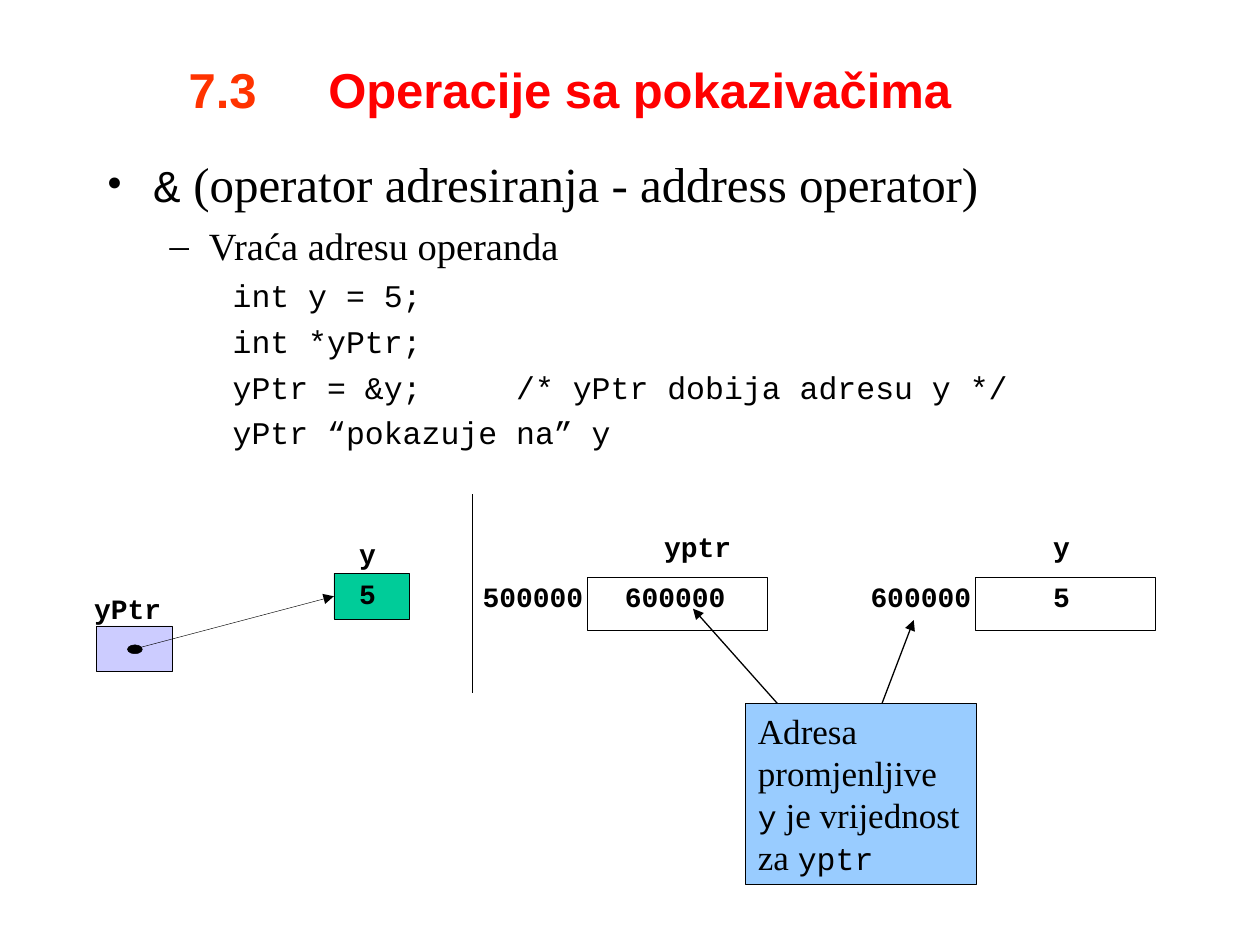
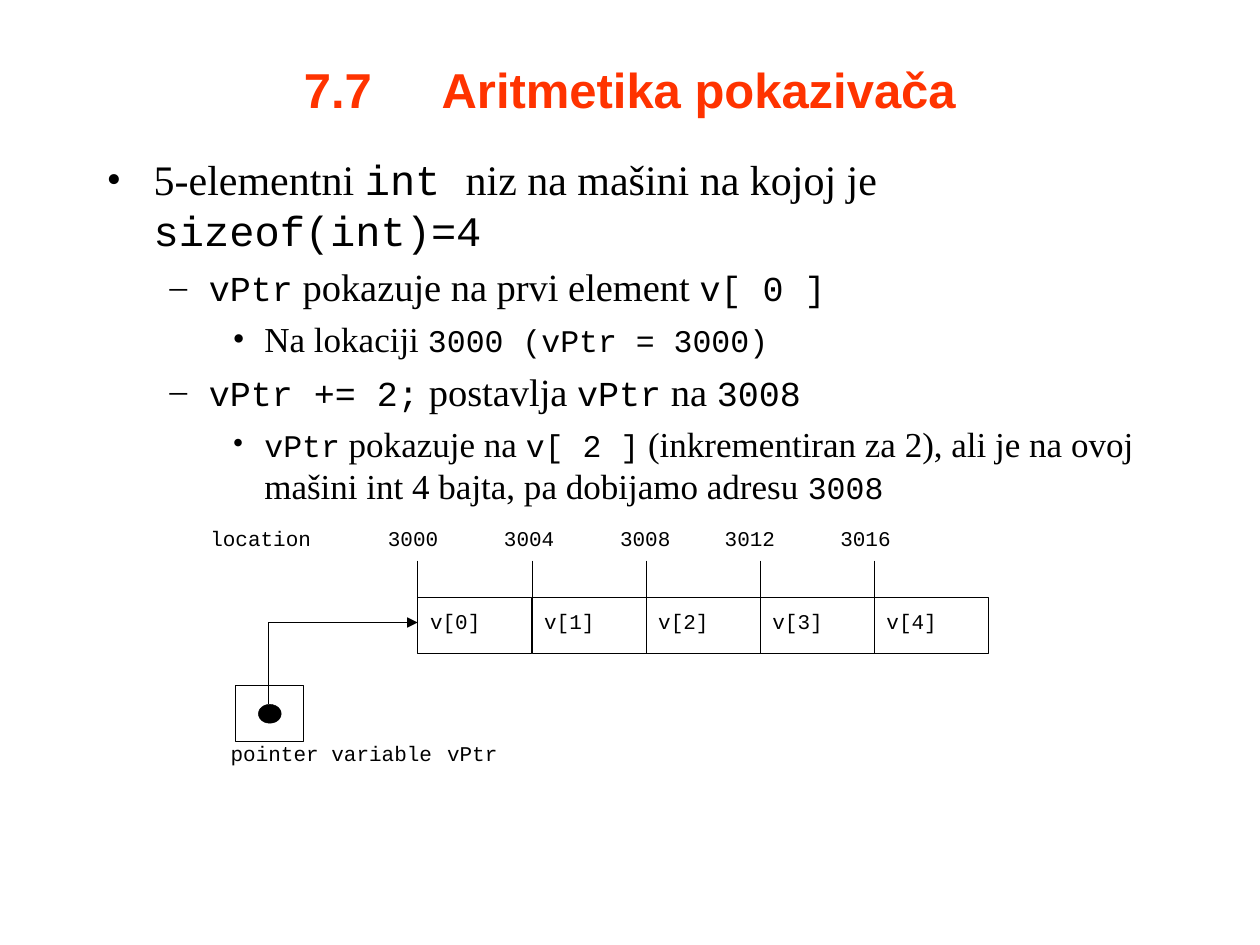
from dataclasses import dataclass

from lxml import etree
from pptx import Presentation
from pptx import util as u
from pptx.dml.color import RGBColor
from pptx.enum import shapes, text
from pptx.oxml import ns

BLACK = RGBColor(0x00, 0x00, 0x00)
ORANGE_RED = RGBColor(0xFF, 0x33, 0x00)
RED = RGBColor(0xFF, 0x00, 0x00)
LILAC = RGBColor(0xCC, 0xCC, 0xFF)
GREEN = RGBColor(0x00, 0xCC, 0x99)
SKY = RGBColor(0x99, 0xCC, 0xFF)

SANS, SERIF, MONO = "Arial", "Times New Roman", "Courier New"
THIN, NORMAL = 0.25, 0.75
NO_INSETS = (0, 0, 0, 0)
INSETS = (0.25, 0.13, 0.25, 0.13)
# Left margin and hanging indent of each outline level, in cm
LEVELS = [(0.95, -0.95), (2.06, -0.79), (3.18, -0.64)]


@dataclass
class Run:
    text: str
    size: float
    font: str
    color: RGBColor = BLACK
    bold: bool = False


def prose(words, size):
    return Run(words, size, SERIF)


def code(words, size, bold=False):
    return Run(words, size, MONO, bold=bold)


def heading(words, color=ORANGE_RED):
    return Run(words, 28, SANS, color, True)


class Deck:
    def __init__(self):
        self.presentation = Presentation()
        self.presentation.slide_width = u.Cm(25.4)
        self.presentation.slide_height = u.Cm(19.05)
        self.slide = None

    def add_slide(self):
        self.slide = self.presentation.slides.add_slide(self.presentation.slide_layouts[6])

    # Text
    def style_font(self, font, run):
        font.name, font.size, font.bold = run.font, u.Pt(run.size), run.bold
        font.color.rgb = run.color

    def fill_paragraph(self, paragraph, runs):
        for run in runs:
            part = paragraph.add_run()
            part.text = run.text
            if len(runs) > 1:
                self.style_font(part.font, run)
        if len(runs) == 1:
            self.style_font(paragraph.font, runs[0])

    def frame(self, shape, insets):
        frame = shape.text_frame
        frame.word_wrap = True
        frame.vertical_anchor = text.MSO_ANCHOR.TOP
        (frame.margin_left, frame.margin_top,
         frame.margin_right, frame.margin_bottom) = map(u.Cm, insets)
        return frame

    def text_box(self, at, insets=NO_INSETS):
        return self.frame(self.slide.shapes.add_textbox(*map(u.Cm, at)), insets)

    def title(self, *runs):
        frame = self.text_box((1.9, 0.2, 21.59, 3.18), INSETS)
        frame.vertical_anchor = text.MSO_ANCHOR.MIDDLE
        paragraph = frame.paragraphs[0]
        paragraph.alignment = text.PP_ALIGN.CENTER
        properties = paragraph._p.get_or_add_pPr()
        tabs = etree.SubElement(properties, ns.qn("a:tabLst"))
        for inch in range(8):
            etree.SubElement(tabs, ns.qn("a:tab"), pos=str(u.Inches(inch)), algn="l")
        self.fill_paragraph(paragraph, runs)

    def outline(self, items):
        """Each item: level, bullet, space before in points, runs."""
        frame = self.text_box((1.9, 2.97, 21.59, 15.04), INSETS)
        for index, (level, bullet, space, runs) in enumerate(items):
            paragraph = frame.add_paragraph() if index else frame.paragraphs[0]
            paragraph.level = level
            paragraph.space_before = u.Pt(space)
            properties = paragraph._p.get_or_add_pPr()
            margin, indent = LEVELS[level]
            properties.set("marL", str(u.Cm(margin)))
            properties.set("indent", str(u.Cm(indent)))
            if bullet:
                etree.SubElement(properties, ns.qn("a:buFont"), typeface=SERIF)
                etree.SubElement(properties, ns.qn("a:buChar"), char=bullet)
            else:
                etree.SubElement(properties, ns.qn("a:buNone"))
            self.fill_paragraph(paragraph, runs)

    def label(self, at, *runs, spacing=None):
        paragraph = self.text_box(at).paragraphs[0]
        if spacing:
            paragraph.line_spacing = spacing
        self.fill_paragraph(paragraph, runs)

    # Shapes
    def paint(self, shape, fill, width):
        shape.shadow.inherit = False
        if fill is None:
            shape.fill.background()
        else:
            shape.fill.solid()
            shape.fill.fore_color.rgb = fill
        shape.line.color.rgb = BLACK
        shape.line.width = u.Pt(width)
        return shape

    def box(self, at, fill=None, width=THIN, kind=shapes.MSO_SHAPE.RECTANGLE):
        shape = self.slide.shapes.add_shape(kind, *map(u.Cm, at))
        return self.paint(shape, fill, width)

    def dot(self, at):
        return self.box(at, BLACK, kind=shapes.MSO_SHAPE.OVAL)

    def callout(self, at, *runs):
        paragraph = self.frame(self.box(at, SKY, NORMAL), INSETS).paragraphs[0]
        paragraph.alignment = text.PP_ALIGN.LEFT
        paragraph.space_before = u.Pt(11.2)
        self.fill_paragraph(paragraph, runs)

    # Lines
    def arrowhead(self, line):
        etree.SubElement(line._get_or_add_ln(), ns.qn("a:tailEnd"), type="triangle")

    def line(self, start, end, width=NORMAL, arrow=False, target=None):
        """A target is a shape and the number of its connection site."""
        connector = self.slide.shapes.add_connector(
            shapes.MSO_CONNECTOR.STRAIGHT, *map(u.Cm, (*start, *end)))
        if target:
            connector.end_connect(*target)
        connector.line.color.rgb = BLACK
        connector.line.width = u.Pt(width)
        etree.SubElement(connector._element.spPr, ns.qn("a:effectLst"))
        if arrow:
            self.arrowhead(connector.line)

    def bent_arrow(self, *points):
        start, *rest = [tuple(map(u.Cm, point)) for point in points]
        builder = self.slide.shapes.build_freeform(*start)
        builder.add_line_segments(rest, close=False)
        shape = self.paint(builder.convert_to_shape(), None, THIN)
        self.arrowhead(shape.line)


def address_operator(deck):
    deck.add_slide()
    deck.title(heading("7.3\t "), heading("Operacije sa pokazivačima \t", RED))
    statements = ["int y = 5;", "int *yPtr;",
                  "yPtr = &y;     /* yPtr dobija adresu y */",
                  "yPtr “pokazuje na” y"]
    deck.outline([
        (0, "•", 7, [code("&", 26), prose(" (operator adresiranja - address operator)", 28)]),
        (1, "–", 5.5, [prose("Vraća adresu operanda", 22)]),
        *[(2, None, 4.5, [code(statement, 18)]) for statement in statements],
    ])

    # Pointer and the variable it points to
    deck.box((1.95, 12.62, 1.52, 0.92), LILAC)
    variable = deck.box((6.73, 11.56, 1.52, 0.92), GREEN)
    deck.line((2.72, 13.08), (6.73, 12.02), THIN, arrow=True, target=(variable, 1))
    deck.dot((2.57, 13, 0.3, 0.18))
    for words, left, top in [("yPtr", 1.9, 12.09), ("y", 7.24, 11), ("5", 7.24, 11.79)]:
        deck.label((left, top, 1.6, 0.53), code(words, 16, True), spacing=0.72)
    deck.line((9.53, 9.96), (9.53, 13.97))

    # Memory cells: left edge, then name, address and value with their places
    for cell, name, name_left, address, value, value_left in [
            (11.84, "yptr", 13.39, "500000", "600000", 12.6),
            (19.66, "y", 21.23, "600000", "5", 21.23)]:
        deck.box((cell, 11.63, 3.63, 1.07))
        for words, left, top in [(name, name_left, 10.8), (address, cell - 2.11, 11.81),
                                 (value, value_left, 11.81)]:
            deck.label((left, top, 2.1, 0.81), code(words, 16, True), spacing=0.8)

    # Explanation
    deck.callout((15.03, 14.18, 4.66, 3.65),
                 prose("Adresa promjenljive ", 20), code("y", 18),
                 prose(" je vrijednost za ", 20), code("yptr", 18))
    deck.line((17.78, 14.18), (18.42, 12.5), arrow=True)
    deck.line((15.67, 14.18), (13.97, 12.27), arrow=True)


def pointer_arithmetic(deck):
    deck.add_slide()
    deck.title(heading("7.7\t Aritmetika pokazivača"))
    deck.outline([
        (0, "•", 6, [prose("5-elementni ", 24), code("int ", 24),
                     prose("niz na mašini na kojoj je ", 24), code("sizeof(int)=4", 24)]),
        (1, "–", 5, [code("vPtr", 20), prose(" pokazuje na prvi element ", 22),
                     code("v[ 0 ]", 20)]),
        (2, "•", 4.5, [prose("Na lokaciji ", 20), code("3000 (vPtr = 3000)", 18)]),
        (1, "–", 5, [code("vPtr += 2;", 20), prose(" postavlja ", 22), code("vPtr", 20),
                     prose(" na ", 22), code("3008", 20)]),
        (2, "•", 4.5, [code("vPtr", 18), prose(" pokazuje na ", 20), code("v[ 2 ]", 18),
                       prose(" (inkrementiran za 2), ali je na ovoj mašini int 4 bajta,"
                             " pa dobijamo adresu ", 20), code("3008", 18)]),
    ])

    # Pointer variable
    deck.label((4.65, 14.86, 8.05, 0.81),
               code("pointer variable", 12), code(" ", 14), code("vPtr", 12))
    deck.box((4.75, 13.82, 1.37, 1.12))
    deck.dot((5.21, 14.2, 0.46, 0.38))

    # Array cells with their addresses
    array_left, array_top, cell_width = 8.42, 12.05, 2.3
    deck.label((4.24, 10.59, 3.1, 0.76), code("location", 12))
    for index, address_left in enumerate([7.82, 10.16, 12.5, 14.61, 16.94]):
        left = array_left + index * cell_width
        deck.box((left, array_top, cell_width, 1.12))
        deck.label((left + 0.25, 12.27, 1.8, 0.81), code(f"v[{index}]", 12))
        deck.line((left, 11.3), (left, array_top), THIN)
        deck.label((address_left, 10.59, 1.8, 0.81), code(str(3000 + 4 * index), 12))
    deck.bent_arrow((5.41, 14.2), (5.41, 12.55), (array_left, 12.55))


def main():
    deck = Deck()
    address_operator(deck)
    pointer_arithmetic(deck)
    deck.presentation.save("out.pptx")


if __name__ == "__main__":
    main()
